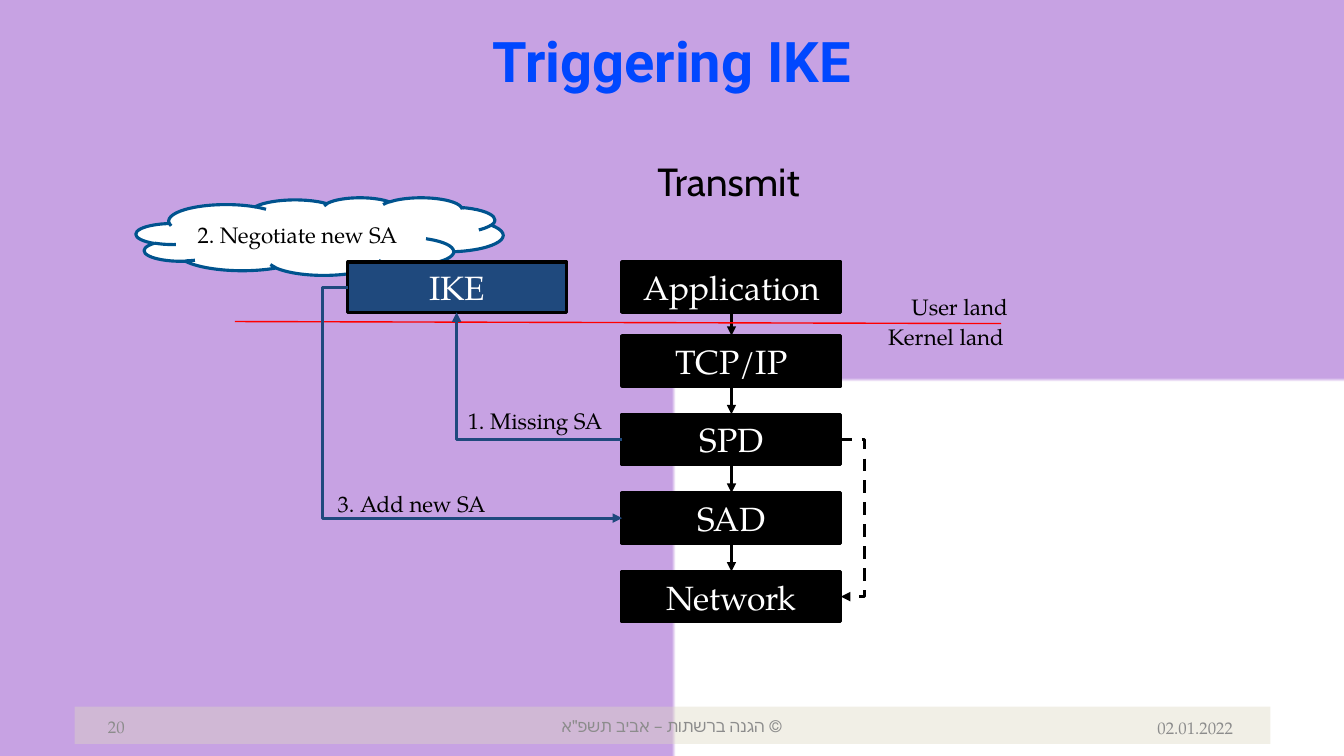
from dataclasses import dataclass
from itertools import pairwise

from lxml import etree
from pptx import Presentation
from pptx.dml.color import RGBColor
from pptx.enum.dml import MSO_LINE
from pptx.enum.shapes import MSO_CONNECTOR as Link, MSO_SHAPE as Preset
from pptx.enum.text import MSO_ANCHOR as Anchor, PP_ALIGN as Align
from pptx.oxml import parse_xml
from pptx.oxml.ns import nsdecls, qn
from pptx.util import Emu, Pt

PX = 9144  # 100 px to the inch
COLORS = {
    "lilac": "C7A2E3", "white": "FFFFFF", "black": "000000", "navy": "1F497D",
    "cloud": "00538E", "title": "0047FF", "red": "FF0000", "bar": "DDD9C3",
    "footer": "8C8C8C",
}
SERIF = "TeX Gyre Pagella"
BOX_W, BOX_H = 217, 50
STACK_X, IKE_X = 617, 345
TOP_Y, STACK_Y, STACK_STEP = 260, 333, 78


@dataclass
class Label:
    text: str
    x: int
    y: int
    w: int = 200
    h: int = 27
    size: int = 16
    font: str = SERIF
    color: str = "black"
    align: Align = Align.LEFT
    anchor: Anchor = Anchor.TOP
    rtl: bool = False


@dataclass
class Route:
    start: tuple[int, int]
    end: tuple[int, int]
    color: str
    preset: str
    bend: int | None = None
    dashed: bool = False


LABELS = [
    Label("Transmit", 455, 156, 535, 63, 28, "Cabin", align=Align.CENTER),
    Label("User land", 904, 291),
    Label("Kernel land", 881, 321),
    Label("1. Missing SA", 464, 404),
    Label("3. Add new SA", 335, 486),
    Label("2. Negotiate new SA", 196, 219, 242),
]
FOOTERS = [
    Label('© הגנה ברשתות – אביב תשפ"א', 408, 700, 517, 40, 12, SERIF, "footer",
          Align.CENTER, Anchor.MIDDLE, True),
    Label("20", 107, 701, 61, 40, 12, SERIF, "footer", Align.LEFT, Anchor.MIDDLE),
    Label("02.01.2022", 1090, 702, 133, 40, 12, SERIF, "footer", Align.RIGHT,
          Anchor.MIDDLE),
]
ROUTES = [
    Route((833, 436), (834, 592), "black", "bentConnector3", 2500000, True),
    Route((617, 436), (453, 310), "navy", "bentConnector2"),
    Route((345, 285), (617, 514), "navy", "bentConnector3", -9200),
]


def px(*values: int) -> list[Emu]:
    return [Emu(value * PX) for value in values]


def rgb(name: str) -> RGBColor:
    return RGBColor.from_string(COLORS[name])


def write(shape, label: Label) -> None:
    """Put one formatted paragraph into a shape."""
    frame = shape.text_frame
    frame.text = label.text
    frame.word_wrap = True
    frame.vertical_anchor = label.anchor
    frame.margin_left = frame.margin_right = frame.margin_top = frame.margin_bottom = 0
    para = frame.paragraphs[0]
    para.alignment = label.align
    if label.rtl:
        para._p.get_or_add_pPr().set("rtl", "1")
    font = para.runs[0].font
    font.size, font.name = Pt(label.size), label.font
    font.color.rgb = rgb(label.color)


def add_label(page, label: Label) -> None:
    write(page.shapes.add_textbox(*px(label.x, label.y, label.w, label.h)), label)


def add_block(page, preset: Preset, frame: tuple, fill: str, line: str | None = None):
    shape = page.shapes.add_shape(preset, *px(*frame))
    shape.shadow.inherit = False
    shape.fill.solid()
    shape.fill.fore_color.rgb = rgb(fill)
    if line:
        shape.line.color.rgb = rgb(line)
        shape.line.width = Pt(2.25)
    else:
        shape.line.fill.background()
    return shape


def add_box(page, text: str, x: int, y: int, fill: str = "black"):
    box = add_block(page, Preset.RECTANGLE, (x, y, BOX_W, BOX_H), fill, "black")
    write(box, Label(text, x, y, size=24, color="white", align=Align.CENTER,
                     anchor=Anchor.MIDDLE))
    return box


def add_line(page, kind: Link, start: tuple, end: tuple, color: str,
             width: float = 2.25, arrow: bool = True):
    line = page.shapes.add_connector(kind, *px(*start, *end))
    line.line.color.rgb = rgb(color)
    line.line.width = Pt(width)
    if arrow:
        etree.SubElement(line.line._get_or_add_ln(), qn("a:tailEnd"), type="triangle")
    etree.SubElement(line._element.spPr, qn("a:effectLst"))
    return line


def add_route(page, route: Route) -> None:
    line = add_line(page, Link.ELBOW, route.start, route.end, route.color)
    geometry = line._element.spPr.find(qn("a:prstGeom"))
    geometry.set("prst", route.preset)
    if route.bend is not None:
        guides = geometry.get_or_add_avLst()
        etree.SubElement(guides, qn("a:gd"), name="adj1", fmla=f"val {route.bend}")
    if route.dashed:
        line.line.dash_style = MSO_LINE.DASH


def paint_background(page) -> None:
    fill = page.background.fill
    fill.solid()
    fill.fore_color.rgb = rgb("lilac")
    solid = next(page._element.iter(qn("a:solidFill")))
    solid.getparent().replace(solid, parse_xml(
        f'<a:gradFill {nsdecls("a")} rotWithShape="1"><a:gsLst>'
        f'<a:gs pos="99000"><a:srgbClr val="{COLORS["white"]}"/></a:gs>'
        f'<a:gs pos="100000"><a:srgbClr val="{COLORS["lilac"]}"/></a:gs></a:gsLst>'
        '<a:path path="rect"><a:fillToRect l="100000" t="100000"/></a:path>'
        '</a:gradFill>'))


def main() -> None:
    deck = Presentation()
    deck.slide_width, deck.slide_height = px(1333, 750)
    page = deck.slides.add_slide(deck.slide_layouts[5])
    paint_background(page)

    # Footer
    bar = add_block(page, Preset.RECTANGLE, (74, 701, 1186, 37), "bar")
    bar_color = next(bar._element.spPr.iter(qn("a:srgbClr")))
    etree.SubElement(bar_color, qn("a:alpha"), val="41000")
    for label in FOOTERS:
        add_label(page, label)

    # Title
    title = page.shapes.title
    title.left, title.top, title.width, title.height = px(15, 16, 1302, 87)
    write(title, Label("Triggering IKE", 15, 16, size=40, font="Roboto", color="title",
                       align=Align.CENTER, anchor=Anchor.MIDDLE))
    title.text_frame.paragraphs[0].runs[0].font.bold = True

    # Negotiation cloud and IKE
    add_block(page, Preset.CLOUD, (135, 196, 364, 77), "white", "cloud")
    add_box(page, "IKE", IKE_X, TOP_Y, "navy")

    # Transmit stack
    stack = [add_box(page, "Application", STACK_X, TOP_Y)]
    for row, name in enumerate(["TCP/IP", "SPD", "SAD", "Network"]):
        stack.append(add_box(page, name, STACK_X, STACK_Y + row * STACK_STEP))
    for upper, lower in pairwise(stack):
        arrow = add_line(page, Link.STRAIGHT, (0, 0), (0, 0), "black")
        arrow.begin_connect(upper, 2)
        arrow.end_connect(lower, 0)

    # Land border, routes and labels
    add_line(page, Link.STRAIGHT, (993, 321), (233, 319), "red", 1, arrow=False)
    for route in ROUTES:
        add_route(page, route)
    for label in LABELS:
        add_label(page, label)

    deck.save("out.pptx")


if __name__ == "__main__":
    main()
